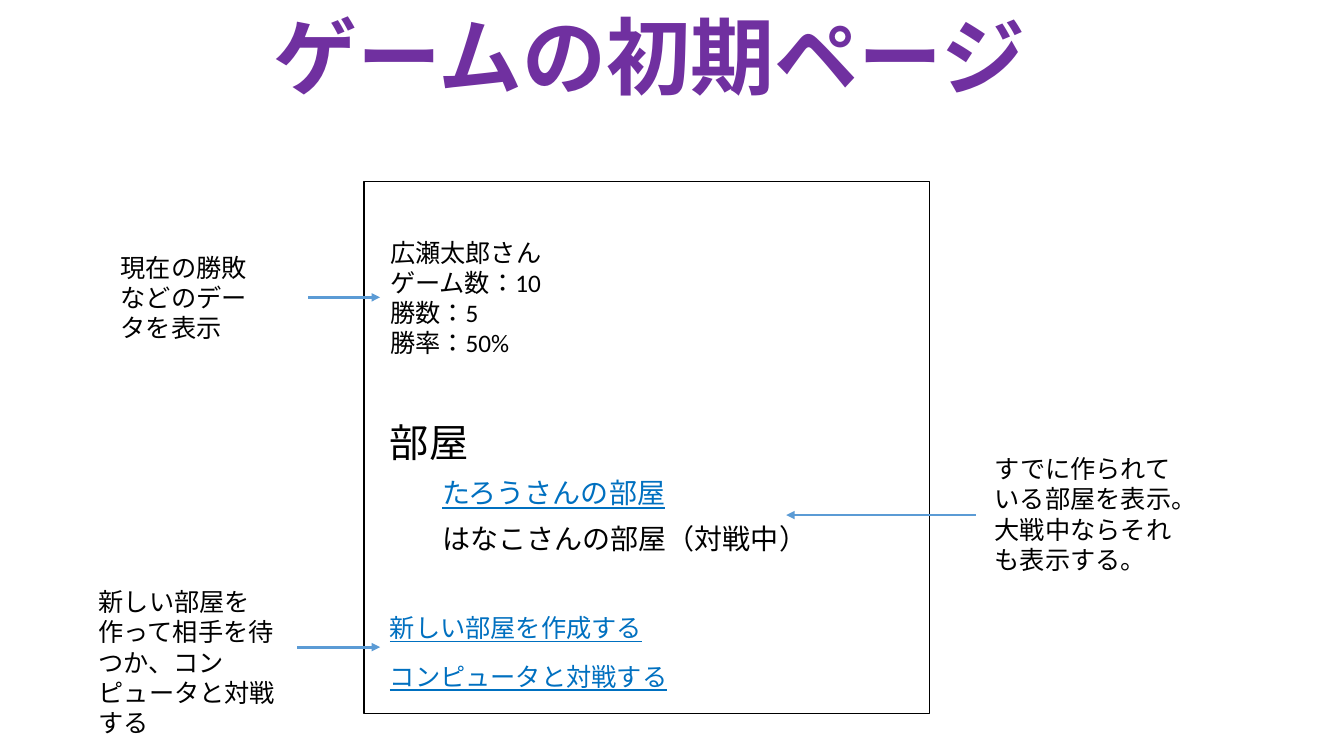
"""Build the slide that explains the start page of a two-player board game."""
from dataclasses import dataclass

import pptx
import pptx.dml.color
import pptx.enum.lang
import pptx.enum.shapes
import pptx.enum.text
import pptx.oxml
import pptx.oxml.ns
import pptx.util


@dataclass(frozen=True)
class Theme:
    font: str = "Calibri"
    title_color: str = "7030A0"
    text_color: str = "000000"
    link_color: str = "0070C0"
    arrow_color: str = "5B9BD5"
    title_size: int = 60
    heading_size: int = 28
    room_size: int = 20
    body_size: int = 18


theme = Theme()
presentation = pptx.Presentation()
presentation.slide_width = pptx.util.Inches(13.33)
presentation.slide_height = pptx.util.Inches(7.5)
slide = presentation.slides.add_slide(presentation.slide_layouts[5])


def share(*percentages):
    """Turn alternating horizontal and vertical percentages into lengths."""
    sides = (presentation.slide_width, presentation.slide_height) * 2
    return [round(side * percentage / 100) for side, percentage in zip(sides, percentages)]


def write(shape, lines, size, color, bold=None, underline=None):
    """Fill a shape with Japanese paragraphs of one style."""
    text_frame = shape.text_frame
    text_frame.text = "\n".join(lines)
    text_frame.word_wrap = True
    text_frame.auto_size = pptx.enum.text.MSO_AUTO_SIZE.NONE
    for paragraph in text_frame.paragraphs:
        paragraph.font.name = theme.font
        paragraph.font.size = pptx.util.Pt(size)
        paragraph.font.color.rgb = pptx.dml.color.RGBColor.from_string(color)
        paragraph.font.bold = bold
        paragraph.font.underline = underline
        paragraph.runs[0].font.language_id = pptx.enum.lang.MSO_LANGUAGE_ID.JAPANESE


title = slide.shapes.title
title.left, title.top, title.width, title.height = share(10.8, 1.47, 75, 15.87)
write(title, ["ゲームの初期ページ"], theme.title_size, theme.title_color, bold=True)
title.text_frame.vertical_anchor = pptx.enum.text.MSO_ANCHOR.TOP
title.text_frame.paragraphs[0].alignment = pptx.enum.text.PP_ALIGN.CENTER
title.text_frame.paragraphs[0].line_spacing = 0.9

page = slide.shapes.add_shape(
    pptx.enum.shapes.MSO_SHAPE.RECTANGLE, *share(27.08, 24, 42.08, 70.4))
page.shadow.inherit = False
page.fill.background()
page.line.color.rgb = pptx.dml.color.RGBColor.from_string(theme.text_color)
page.line.width = pptx.util.Pt(1)

page_left, room_left = 28.28, 32.18
page_texts = [
    ((page_left, 30.67, 24.08, 17.47), theme.body_size, False,
     ["広瀬太郎さん", "ゲーム数：10", "勝数：5", "勝率：50%"]),
    ((page_left, 54.67, 11.85, 7.6), theme.heading_size, False, ["部屋"]),
    ((room_left, 62.27, 32.63, 5.87), theme.room_size, True, ["たろうさんの部屋"]),
    ((room_left, 68.27, 32.63, 5.87), theme.room_size, False, ["はなこさんの部屋（対戦中）"]),
    ((page_left, 80.4, 22.5, 5.33), theme.body_size, True, ["新しい部屋を作成する"]),
    ((page_left, 86.8, 22.5, 5.33), theme.body_size, True, ["コンピュータと対戦する"]),
]
notes = [
    ((8.25, 32.67, 12.68, 13.47), ["現在の勝敗などのデータを表示"]),
    ((73.28, 59.33, 14.78, 17.47),
     ["すでに作られている部屋を表示。", "大戦中ならそれも表示する。"]),
    ((6.6, 76.93, 15.15, 17.47),
     ["新しい部屋を作って相手を待つか、コンピュータと対戦する"]),
]
note_texts = [(box, theme.body_size, False, lines) for box, lines in notes]
for box, size, is_link, lines in page_texts + note_texts:
    color = theme.link_color if is_link else theme.text_color
    write(slide.shapes.add_textbox(*share(*box)), lines, size, color, underline=is_link or None)

for start, end, height in [(22.95, page_left, 39.33), (72.6, 58.5, 68.13), (22.13, page_left, 85.6)]:
    arrow = slide.shapes.add_connector(
        pptx.enum.shapes.MSO_CONNECTOR.STRAIGHT, *share(start, height, end, height))
    arrow.line.color.rgb = pptx.dml.color.RGBColor.from_string(theme.arrow_color)
    arrow.line.width = pptx.util.Pt(2)
    arrowhead = pptx.oxml.parse_xml(
        f'<a:tailEnd {pptx.oxml.ns.nsdecls("a")} type="triangle"/>')
    arrow.line._get_or_add_ln().append(arrowhead)
    no_shadow = pptx.oxml.parse_xml(f'<a:effectLst {pptx.oxml.ns.nsdecls("a")}/>')
    arrow._element.spPr.append(no_shadow)

presentation.save("out.pptx")
